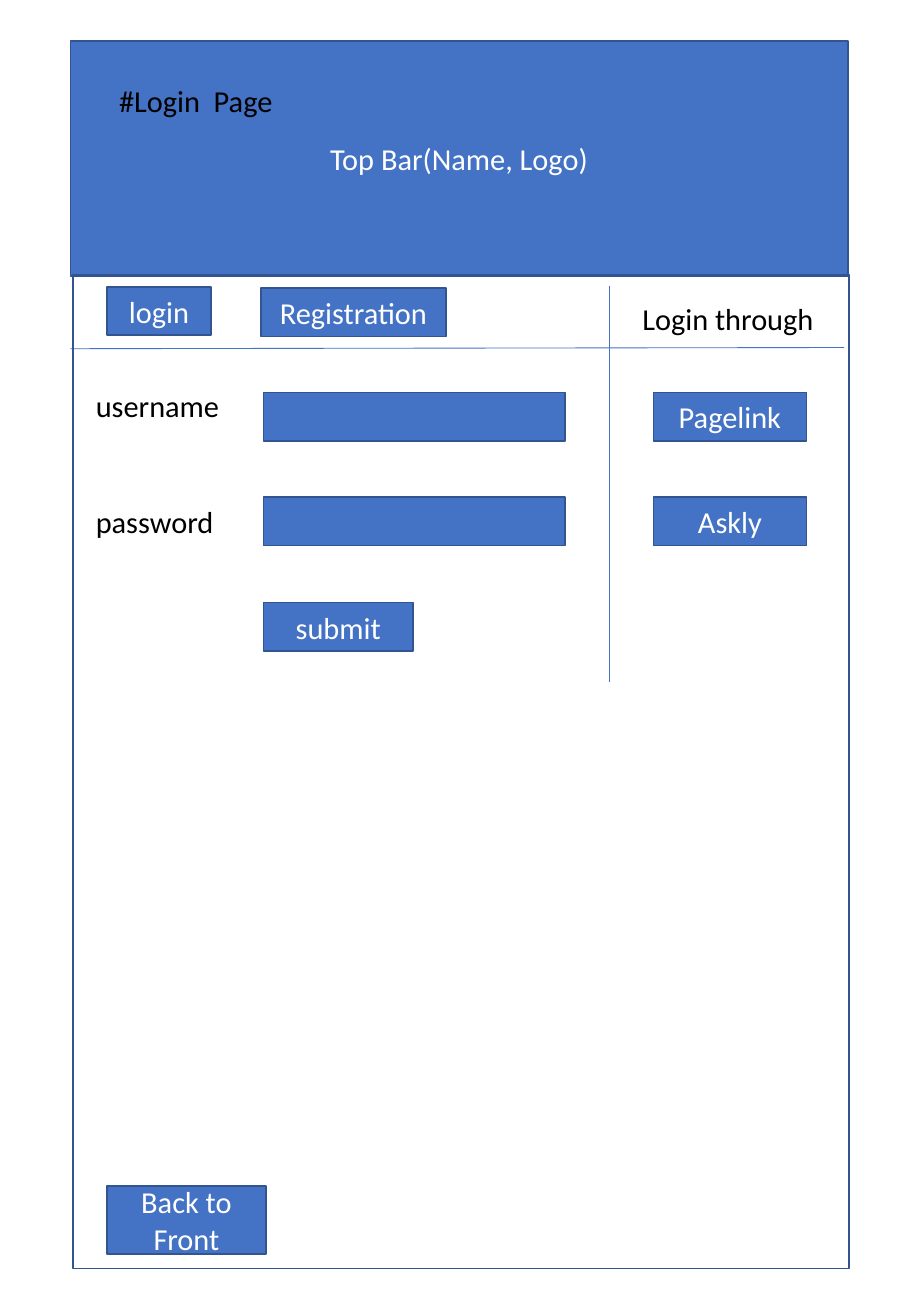
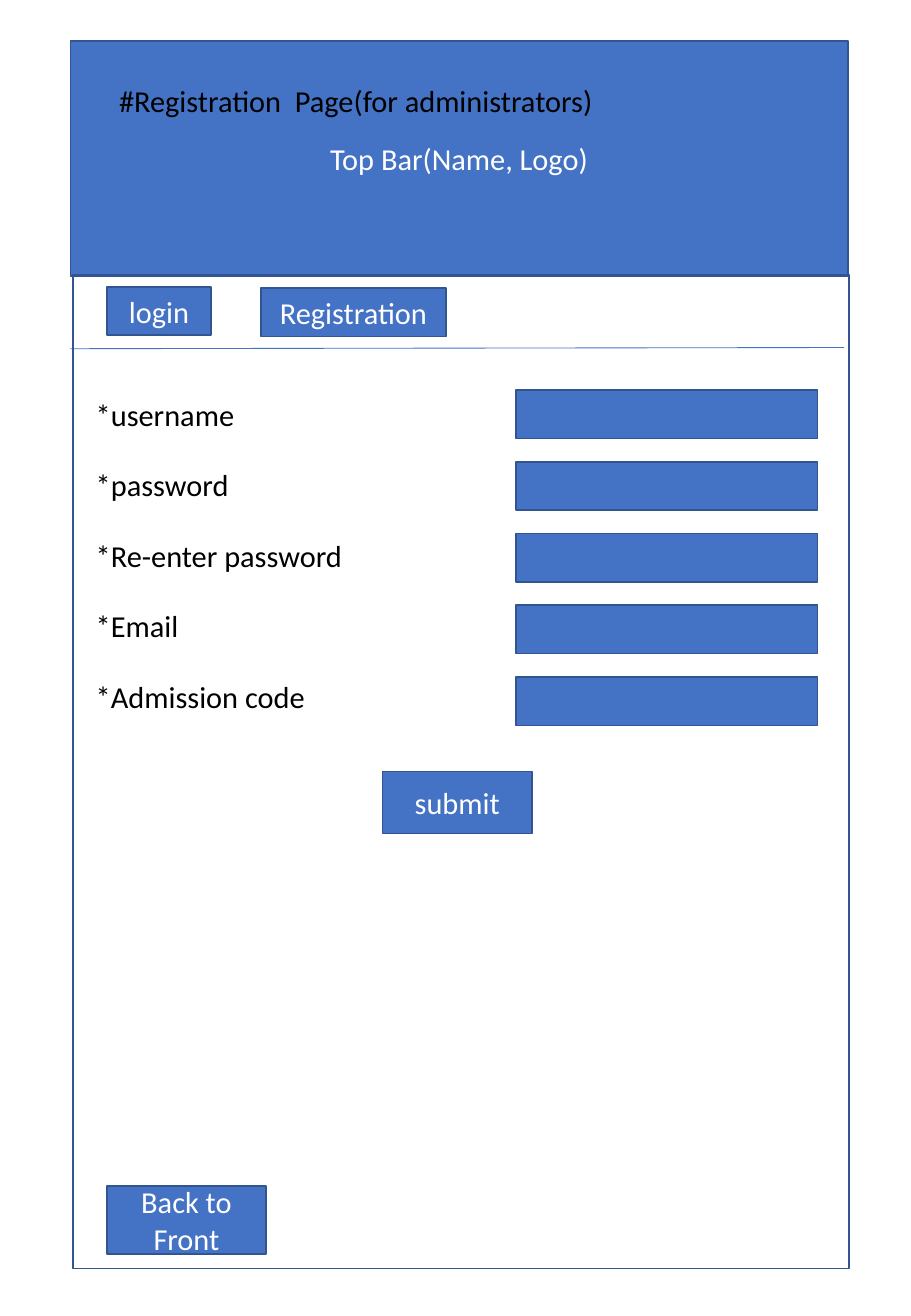
from lxml.etree import SubElement
from pptx import Presentation
from pptx.dml.color import RGBColor
from pptx.enum.shapes import MSO_CONNECTOR as Link, MSO_SHAPE as Form
from pptx.enum.text import MSO_ANCHOR as Anchor, MSO_AUTO_SIZE as Fit, PP_ALIGN as Align
from pptx.oxml.ns import qn
from pptx.util import Inches, Pt

BLUE, EDGE, BLACK, WHITE = "4472C4", "325491", "000000", "FFFFFF"
FONT, SIZE = "Calibri", 18
ROW = 0.4  # height of fields, buttons and labels
FIELD = 2.48  # width of an input field


def rgb(code):
    """Turn a hex string into a colour."""
    return RGBColor.from_string(code)


def write(frame, text, color, align=Align.LEFT, anchor=Anchor.TOP, wrap=True):
    """Put one styled paragraph into a text frame."""
    frame.word_wrap = wrap
    frame.auto_size = Fit.NONE
    frame.vertical_anchor = anchor
    frame.text = text
    para = frame.paragraphs[0]
    para.alignment = align
    para.font.name = FONT
    para.font.size = Pt(SIZE)
    para.font.bold = False
    para.font.color.rgb = rgb(color)


def box(shapes, left, top, width, height=ROW, text="", fill=BLUE):
    """Draw an outlined rectangle: a button, an input field or a frame."""
    shape = shapes.add_shape(Form.RECTANGLE, Inches(left), Inches(top),
                             Inches(width), Inches(height))
    shape.shadow.inherit = False
    if fill:
        shape.fill.solid()
        shape.fill.fore_color.rgb = rgb(fill)
    else:
        shape.fill.background()
    shape.line.color.rgb = rgb(EDGE)
    shape.line.width = Pt(1)
    if text:
        write(shape.text_frame, text, WHITE, Align.CENTER, Anchor.MIDDLE)


def label(shapes, left, top, width, text):
    """Add a line of black text."""
    area = shapes.add_textbox(Inches(left), Inches(top), Inches(width), Inches(ROW))
    write(area.text_frame, text, BLACK, wrap=False)


def rule(shapes, x1, y1, x2, y2):
    """Draw a thin dividing line."""
    line = shapes.add_connector(Link.STRAIGHT, Inches(x1), Inches(y1),
                                Inches(x2), Inches(y2))
    line.line.color.rgb = rgb(BLUE)
    line.line.width = Pt(0.5)
    SubElement(line.element.spPr, qn("a:effectLst"))


def page(deck, title, width):
    """Add a slide with the top bar, frame, tabs, title and back button."""
    slide = deck.slides.add_slide(deck.slide_layouts[5])
    shapes = slide.shapes
    rule(shapes, 0.58, 2.87, 6.95, 2.86)
    box(shapes, 0.88, 2.36, 0.86, text="login")
    box(shapes, 2.15, 2.37, 1.52, text="Registration")
    group = shapes.add_group_shape()
    box(group.shapes, 0.58, 0.34, 6.4, 1.93, "Top Bar(Name, Logo)")
    box(group.shapes, 0.6, 2.26, 6.39, 8.18, fill=None)
    head = shapes.title
    head.left, head.top = Inches(0.88), Inches(0.63)
    head.width, head.height = Inches(width), Inches(ROW)
    write(head.text_frame, title, BLACK, wrap=False)
    head.element.getparent().append(head.element)  # bring in front of the bar
    box(shapes, 0.88, 9.76, 1.31, 0.56, "Back to Front")
    return shapes


def login(deck):
    """Build the login page."""
    shapes = page(deck, "#Login  Page", 1.48)
    rule(shapes, 5.02, 2.35, 5.02, 5.61)
    label(shapes, 5.19, 2.42, 1.63, "Login through")
    rows = [("username", 3.14, 3.23, "Pagelink"), ("password", 4.09, 4.09, "Askly")]
    for name, high, top, site in rows:
        label(shapes, 0.69, high, 1.22, name)
        box(shapes, 2.17, top, FIELD)
        box(shapes, 5.38, top, 1.26, text=site)
    box(shapes, 2.17, 4.96, 1.23, text="submit")


def register(deck):
    """Build the registration page."""
    shapes = page(deck, "#Registration  Page(for administrators)", 4.14)
    names = ["username", "password", "Re-enter password", "Email", "Admission code"]
    for row, name in enumerate(names):
        label(shapes, 0.69, 3.21 + 0.58 * row, 2.3, "*" + name)
        box(shapes, 4.25, 3.21 + 0.59 * row, FIELD)
    box(shapes, 3.15, 6.35, 1.23, 0.51, "submit")


def main():
    """Build both pages and save the deck."""
    deck = Presentation()
    deck.slide_width, deck.slide_height = Inches(7.5), Inches(10.83)
    login(deck)
    register(deck)
    deck.save("out.pptx")


main()
